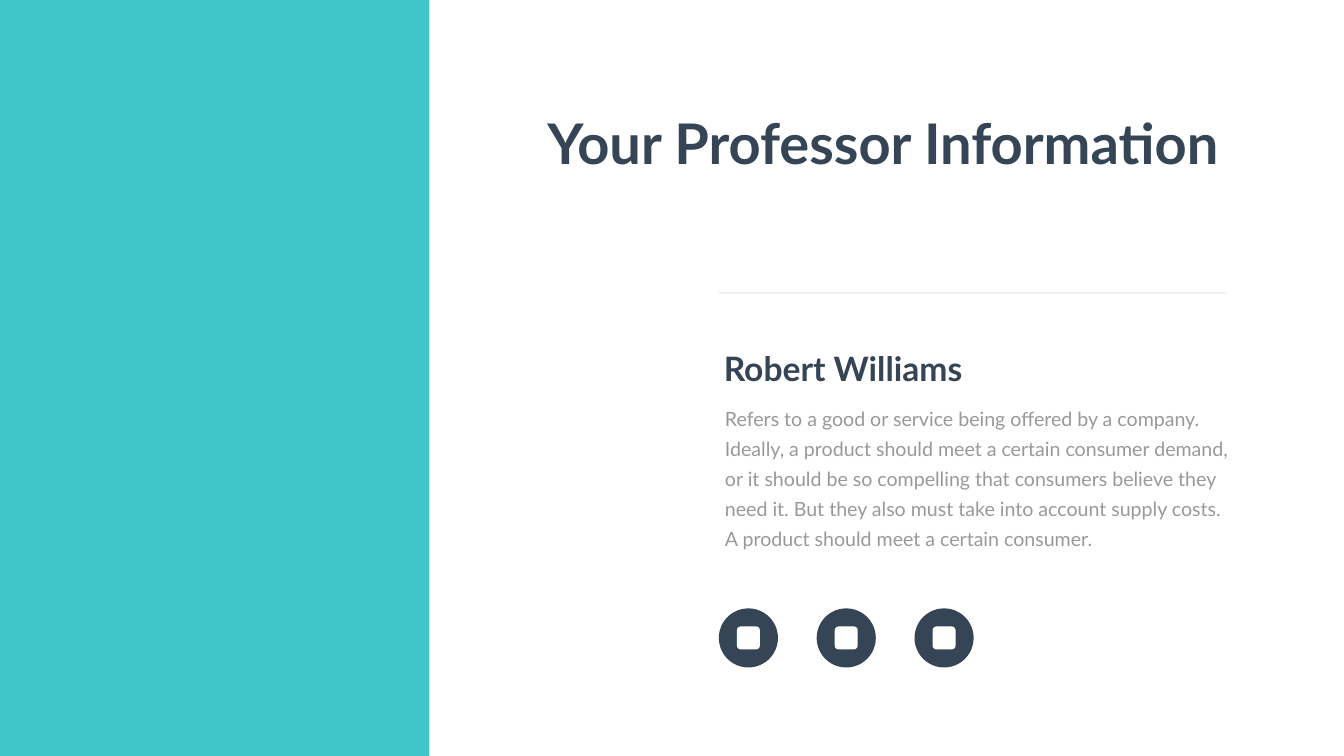
from lxml import etree
from pptx import Presentation
from pptx.dml.color import RGBColor
from pptx.enum.shapes import MSO_CONNECTOR, MSO_SHAPE
from pptx.enum.text import MSO_AUTO_SIZE
from pptx.oxml.ns import qn
from pptx.util import Cm, Pt

RECTANGLE = MSO_SHAPE.RECTANGLE
ROUNDED = MSO_SHAPE.ROUNDED_RECTANGLE
OVAL = MSO_SHAPE.OVAL
STRAIGHT = MSO_CONNECTOR.STRAIGHT
FIT_SHAPE = MSO_AUTO_SIZE.SHAPE_TO_FIT_TEXT

TEAL = RGBColor(0x42, 0xC4, 0xCB)
NAVY = RGBColor(0x36, 0x45, 0x56)
GREY = RGBColor(0x99, 0x99, 0x99)
RULE_GREY = RGBColor(0x80, 0x80, 0x80)
WHITE = RGBColor(0xFF, 0xFF, 0xFF)


class Page:
    """Draws styled elements on one slide; lengths are centimetres."""

    font_name = "Lato"

    def __init__(self, slide):
        self.shapes = slide.shapes

    def shape(self, kind, left, top, width, height, color):
        shape = self.shapes.add_shape(kind, Cm(left), Cm(top), Cm(width), Cm(height))
        shape.shadow.inherit = False
        shape.fill.solid()
        shape.fill.fore_color.rgb = color
        shape.line.fill.background()
        return shape

    def text(self, text, left, top, width, height, size, color,
             bold=False, spacing=None, insets=(0.25, 0.13)):
        box = self.shapes.add_textbox(Cm(left), Cm(top), Cm(width), Cm(height))
        frame = box.text_frame
        frame.word_wrap = True
        frame.auto_size = FIT_SHAPE
        frame.margin_left = frame.margin_right = Cm(insets[0])
        frame.margin_top = frame.margin_bottom = Cm(insets[1])
        para = frame.paragraphs[0]
        para.text = text
        if spacing:
            para.line_spacing = Pt(spacing)
        font = para.font
        font.name, font.size, font.bold = self.font_name, Pt(size), bold
        font.color.rgb = color

    def rule(self, left, right, y, color, weight, opacity):
        line = self.shapes.add_connector(STRAIGHT, Cm(left), Cm(y), Cm(right), Cm(y))
        line.line.width = Pt(weight)
        line.line.color.rgb = color
        properties = line._element.spPr
        color_element = properties.find(".//" + qn("a:srgbClr"))
        etree.SubElement(color_element, qn("a:alpha")).set("val", str(opacity * 1000))
        etree.SubElement(properties, qn("a:effectLst"))

    def badge(self, left, top, size, icon_size):
        """A round badge with a plain mark at its centre."""
        inset = (size - icon_size) / 2
        self.shape(OVAL, left, top, size, size, NAVY)
        self.shape(ROUNDED, left + inset, top + inset, icon_size, icon_size, WHITE)


def main():
    deck = Presentation()
    deck.slide_width, deck.slide_height = Cm(67.72), Cm(38.1)
    page = Page(deck.slides.add_slide(deck.slide_layouts[6]))
    column_left = 36.22

    # Side panel and title
    page.shape(RECTANGLE, 0, 0, 21.64, 38.1, TEAL)
    page.text("Your Professor Information", 27.33, 5.36, 35.46, 3.68, 80, NAVY, bold=True)
    page.rule(column_left, 61.75, 14.76, RULE_GREY, 3, opacity=10)

    # Professor's name and description
    page.text(
        "Refers to a good or service being offered by a company. "
        "Ideally, a product should meet a certain consumer demand, "
        "or it should be so compelling that consumers believe they need it. "
        "But they also must take into account supply costs. "
        "A product should meet a certain consumer.",
        35.92, 19.86, 26.87, 8.13, 28, GREY, spacing=43, insets=(0.61, 0.3))
    page.text("Robert Williams", column_left, 17.42, 14.53, 2.31, 48, NAVY, bold=True)

    # Social badges
    for index in range(3):
        page.badge(column_left + index * 4.93, 30.66, 2.98, 1.16)

    deck.save("out.pptx")


if __name__ == "__main__":
    main()
